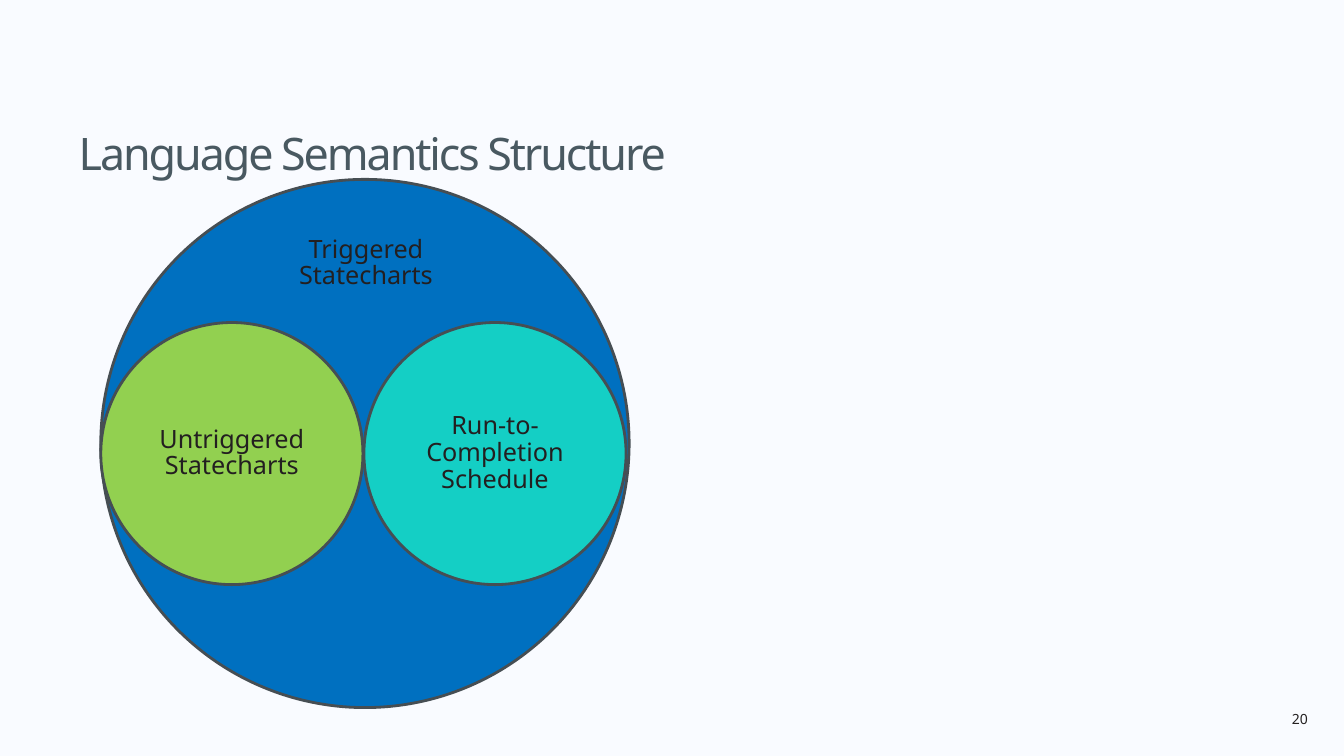
from pptx import Presentation
from pptx.dml.color import RGBColor
from pptx.enum.shapes import MSO_SHAPE
from pptx.enum.text import MSO_ANCHOR, PP_ALIGN
from pptx.util import Inches, Pt

BACKGROUND = RGBColor(0xF9, 0xFB, 0xFF)
TITLE_GREY = RGBColor(0x49, 0x59, 0x61)
INK = RGBColor(0x23, 0x1F, 0x20)
OUTLINE = RGBColor(0x46, 0x4E, 0x53)
BLUE = RGBColor(0x00, 0x70, 0xC0)
GREEN = RGBColor(0x92, 0xD0, 0x50)
TURQUOISE = RGBColor(0x14, 0xCF, 0xC5)


def write(shape, lines, size, color, align, anchor, spacing=1.0):
    """Fill a shape with one paragraph, broken into the given lines."""
    frame = shape.text_frame
    frame.word_wrap = True
    frame.vertical_anchor = anchor
    para = frame.paragraphs[0]
    para.alignment = align
    para.line_spacing = spacing
    for index, line in enumerate(lines):
        if index:
            para.add_line_break()
        span = para.add_run()
        span.text = line
        span.font.size = Pt(size)
        span.font.name = "Noto Sans"
        span.font.color.rgb = color
    return para


deck = Presentation()
deck.slide_width = Inches(13.33)
deck.slide_height = Inches(7.5)
page = deck.slides.add_slide(deck.slide_layouts[5])
page.background.fill.solid()
page.background.fill.fore_color.rgb = BACKGROUND

# Title
title = page.shapes.title
title_format = {"left": 0.68, "top": 0.76, "width": 11.86, "height": 1.02}
for name, value in title_format.items():
    setattr(title, name, Inches(value))
title.text_frame.margin_bottom = 0
heading = write(title, ["Language Semantics Structure"], 32, TITLE_GREY,
                PP_ALIGN.LEFT, MSO_ANCHOR.BOTTOM)
heading.runs[0].font._element.set("spc", "-150")

# Nested circles: the whole language, then its two parts
circles = [
    (1, 1.78, 5.24, BLUE, []),
    (1, 3.2, 2.6, GREEN, ["Untriggered", "Statecharts"]),
    (3.61, 3.2, 2.6, TURQUOISE, ["Run-to-Completion", "Schedule"]),
]
for left, top, diameter, color, lines in circles:
    circle = page.shapes.add_shape(
        MSO_SHAPE.OVAL, Inches(left), Inches(top), Inches(diameter), Inches(diameter))
    circle.shadow.inherit = False
    circle.fill.solid()
    circle.fill.fore_color.rgb = color
    circle.line.color.rgb = OUTLINE
    circle.line.width = Pt(2)
    write(circle, lines, 18, INK, PP_ALIGN.CENTER, MSO_ANCHOR.MIDDLE, 0.88)

# Label of the large circle
label = page.shapes.add_textbox(Inches(2.41), Inches(2.3), Inches(2.44), Inches(1.01))
write(label, ["Triggered", "Statecharts"], 18, INK,
      PP_ALIGN.CENTER, MSO_ANCHOR.TOP, 0.88)

# Page number
number = page.shapes.add_textbox(Inches(12.02), Inches(7), Inches(1.05), Inches(0.27))
write(number, ["20"], 10, INK, PP_ALIGN.RIGHT, MSO_ANCHOR.TOP)

deck.save("out.pptx")
